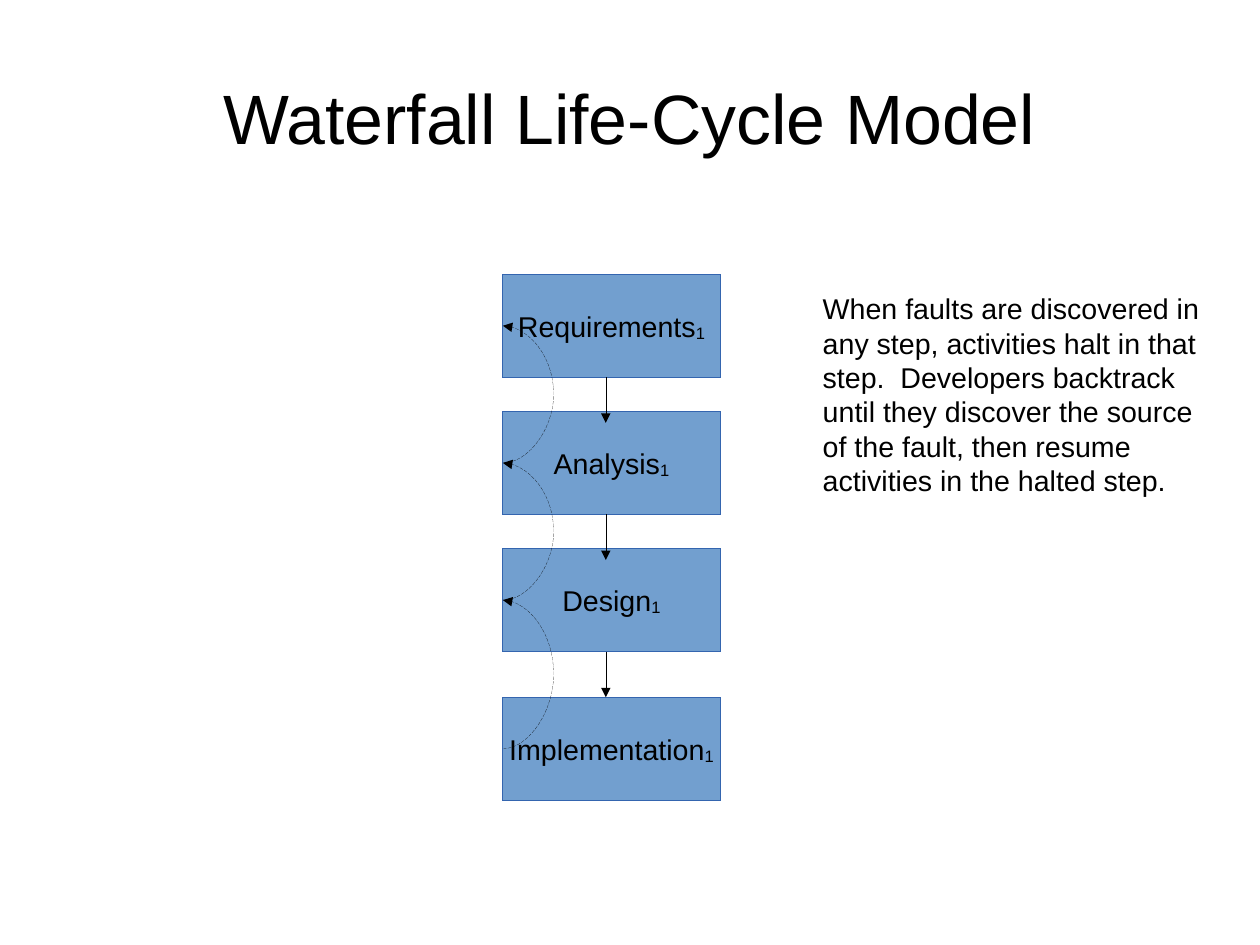
from lxml import etree
from pptx import Presentation
from pptx.dml.color import RGBColor
from pptx.enum import dml, shapes, text
from pptx.oxml import ns
from pptx.util import Pt

# Content
TITLE = "Waterfall Life-Cycle Model"
STEPS = [("Requirements", 172.8), ("Analysis", 259.2),
         ("Design", 345.6), ("Implementation", 439.2)]  # name, top
ITERATION = "1"
NOTE = ("When faults are discovered in any step, activities halt in that step.  "
        "Developers backtrack until they discover the source of the fault, "
        "then resume activities in the halted step.")

# Style and layout, in points
BLACK = RGBColor(0x00, 0x00, 0x00)
STEP_FILL = RGBColor(0x72, 0x9F, 0xCF)
STEP_EDGE = RGBColor(0x34, 0x65, 0xAF)
SLIDE_WIDTH, SLIDE_HEIGHT = 793.7, 595.28
STEP_LEFT, STEP_WIDTH, STEP_HEIGHT = 316.8, 136.8, 64.8
ARROW_X, ARROW_LENGTH = 381.6, 28.8
CURVE_WIDTH = 0.03
CURVE_BULGE = -56300000  # share of the curve width, in 1/100000


def add_run(paragraph, wording, size):
    run = paragraph.add_run()
    run.text = wording
    run.font.name = "Arial"
    run.font.size = Pt(size)
    run.font.color.rgb = BLACK
    return run


def set_frame(frame, anchor, margins, wrap):
    frame.vertical_anchor = anchor
    frame.margin_left = frame.margin_right = Pt(margins[0])
    frame.margin_top = frame.margin_bottom = Pt(margins[1])
    frame.word_wrap = wrap
    return frame.paragraphs[0]


def set_hairline(line, color):
    line.color.rgb = color
    # An explicit zero is needed: line.width = 0 drops the attribute
    line._get_or_add_ln().set("w", "0")


def add_text(slide, box, wording, size, anchor, margins):
    frame = slide.shapes.add_textbox(*map(Pt, box)).text_frame
    paragraph = set_frame(frame, anchor, margins, True)
    add_run(paragraph, wording, size)
    return paragraph


def add_step(slide, name, top):
    step = slide.shapes.add_shape(
        shapes.MSO_SHAPE.FLOWCHART_PROCESS,
        Pt(STEP_LEFT), Pt(top), Pt(STEP_WIDTH), Pt(STEP_HEIGHT))
    step.shadow.inherit = False
    step.fill.solid()
    step.fill.fore_color.rgb = STEP_FILL
    set_hairline(step.line, STEP_EDGE)
    label = set_frame(step.text_frame, text.MSO_ANCHOR.MIDDLE, (7.2, 3.6), False)
    label.alignment = text.PP_ALIGN.CENTER
    add_run(label, name, 18)
    subscript = add_run(label, ITERATION, 18)
    subscript._r.get_or_add_rPr().set("baseline", "-8000")


def add_arrow(slide, kind, x1, y1, x2, y2, dash=None):
    arrow = slide.shapes.add_connector(kind, Pt(x1), Pt(y1), Pt(x2), Pt(y2))
    set_hairline(arrow.line, BLACK)
    if dash:
        arrow.line.dash_style = dash
    etree.SubElement(arrow.line._get_or_add_ln(), ns.qn("a:tailEnd"), type="triangle")
    etree.SubElement(arrow._element.spPr, ns.qn("a:effectLst"))
    return arrow


def add_backtrack(slide, upper, lower):
    curve = add_arrow(slide, shapes.MSO_CONNECTOR.CURVE, STEP_LEFT, upper,
                      STEP_LEFT + CURVE_WIDTH, lower, dml.MSO_LINE.SQUARE_DOT)
    properties = curve._element.spPr
    properties.find(ns.qn("a:xfrm")).set("rot", "10800000")
    adjustments = properties.find(ns.qn("a:prstGeom")).find(ns.qn("a:avLst"))
    etree.SubElement(adjustments, ns.qn("a:gd"), name="adj1", fmla=f"val {CURVE_BULGE}")


def main():
    deck = Presentation()
    deck.slide_width, deck.slide_height = Pt(SLIDE_WIDTH), Pt(SLIDE_HEIGHT)
    slide = deck.slides.add_slide(deck.slide_layouts[6])

    # Title
    title = add_text(slide, (39.6, 23.76, 714.24, 99.36), TITLE, 44,
                     text.MSO_ANCHOR.MIDDLE, (0, 0))
    title.alignment = text.PP_ALIGN.CENTER

    # Steps
    for name, top in STEPS:
        add_step(slide, name, top)

    # Forward arrows
    tops = [top for _, top in STEPS]
    for top in tops[:-1]:
        start = top + STEP_HEIGHT
        add_arrow(slide, shapes.MSO_CONNECTOR.STRAIGHT,
                  ARROW_X, start, ARROW_X, start + ARROW_LENGTH)

    # Backtracking curves, from the last step up
    middles = [top + STEP_HEIGHT / 2 for top in tops]
    for upper, lower in reversed(list(zip(middles, middles[1:]))):
        add_backtrack(slide, upper, lower)

    # Explanation
    add_text(slide, (511.2, 180, 259.2, 128.16), NOTE, 18,
             text.MSO_ANCHOR.TOP, (7.2, 3.6))

    deck.save("out.pptx")


if __name__ == "__main__":
    main()
